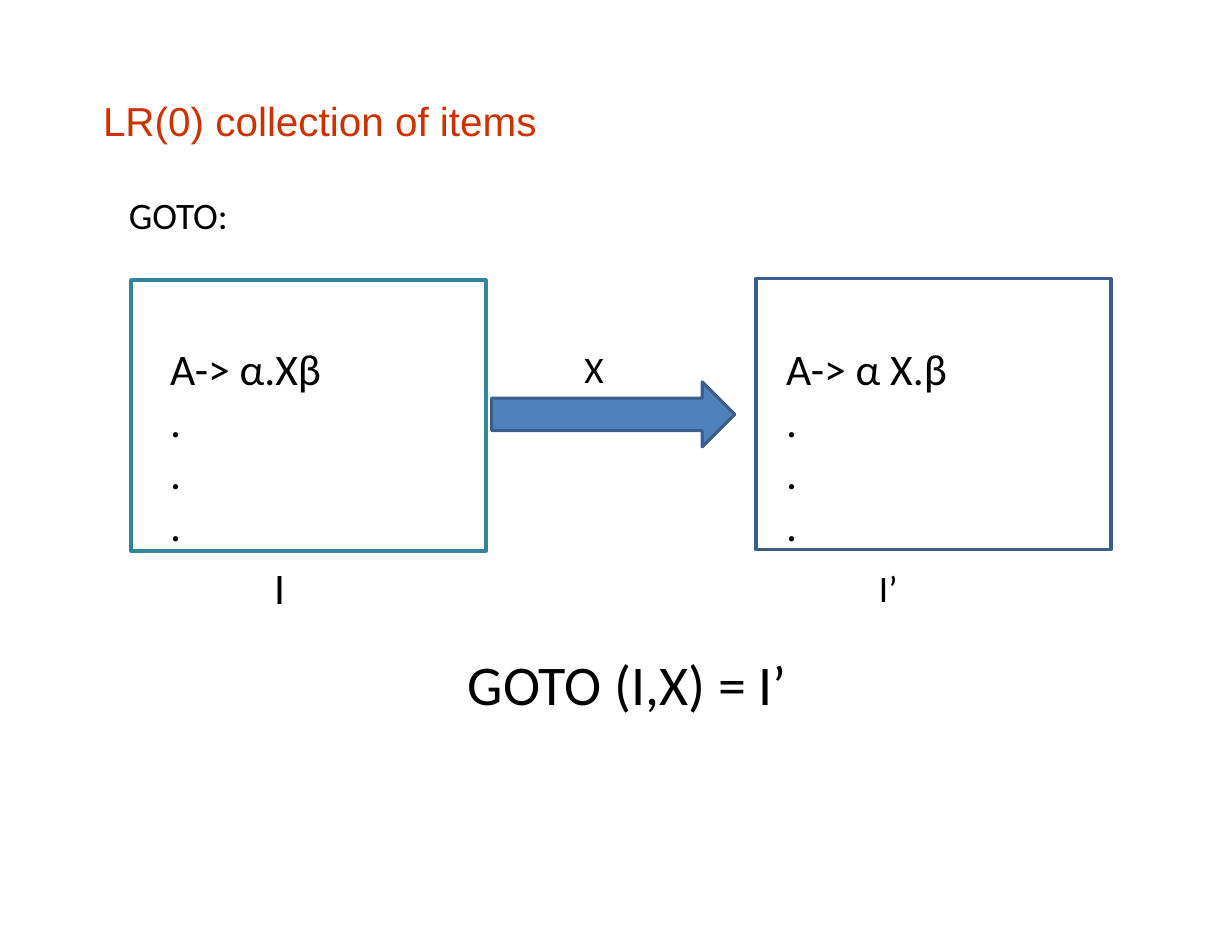
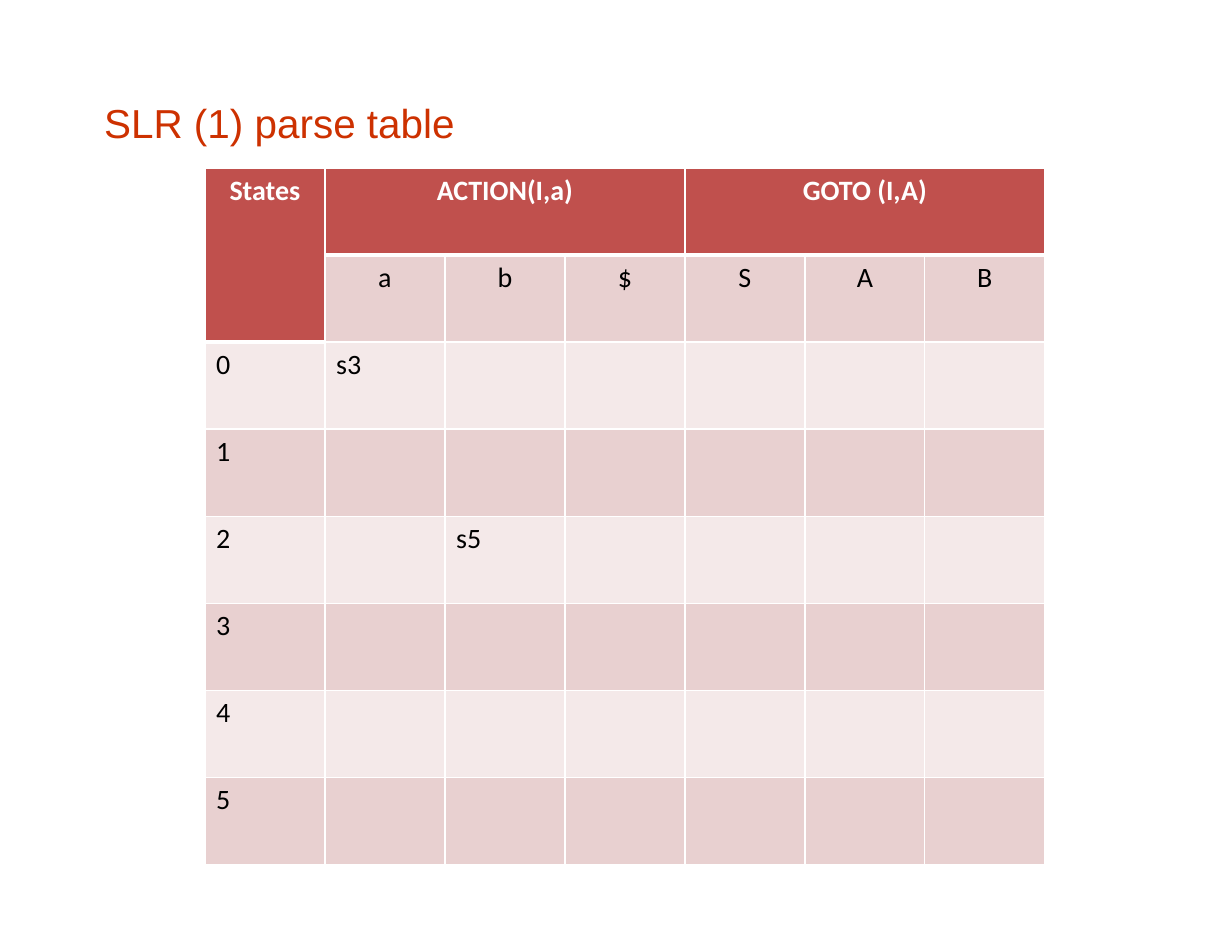
"""Build two slides on LR(0) item collections and the SLR(1) parse table."""
import lxml.etree
import pptx
import pptx.dml.color
import pptx.enum.shapes
import pptx.enum.text
import pptx.oxml.ns
import pptx.util

Inches = pptx.util.Inches
Pt = pptx.util.Pt
SHAPES = pptx.enum.shapes.MSO_SHAPE
CENTER = pptx.enum.text.PP_ALIGN.CENTER

RED, BLACK, WHITE = "CD3100", "000000", "FFFFFF"
BLUE, NAVY, TEAL = "4F81BD", "3A5F8C", "31859C"
HEADER, BANDS = "C0504D", ("F4E9E9", "E8D0D0")

ITEM_SETS = [
    {"item": "A-> α.Xβ", "box": (1.17, 2.5), "line": TEAL, "item_left": 1.42},
    {"item": "A-> α X.β", "box": (6.75, 2.49), "line": NAVY, "item_left": 6.92},
]
LABELS = [
    ("I’", (7.75, 5, 0.37, 0.5), 24),
    ("I", (2.35, 4.96, 0.3, 0.57), 28),
    ("GOTO (I,X) = I’", (4.08, 5.75, 3.08, 0.71), 36),
    ("X", (5.12, 3.04, 0.62, 0.5), 24),
]
GROUPS = [("ACTION(I,a)", ["a", "b", "$"]), ("GOTO (I,A)", ["S", "A", "B"])]
STATES = 6
ENTRIES = {(0, "a"): "s3", (2, "b"): "s5"}
COLUMN_WIDTH, ROW_HEIGHT = 7.5 / 7, 6.22 / 8


def color(value):
    return pptx.dml.color.RGBColor.from_string(value)


def write(frame, text, size=24, font="Calibri", ink=BLACK, bold=False, align=None):
    frame.text = text
    for paragraph in frame.paragraphs:
        paragraph.alignment = align
        paragraph.font.size = Pt(size)
        paragraph.font.name = font
        paragraph.font.bold = bold
        paragraph.font.color.rgb = color(ink)


def add_text(slide, text, place, inset=True, **style):
    frame = slide.shapes.add_textbox(*map(Inches, place)).text_frame
    frame.word_wrap = False
    if not inset:
        frame.margin_left = frame.margin_right = 0
        frame.margin_top = frame.margin_bottom = 0
    write(frame, text, **style)


def add_title(slide, text, left, top):
    add_text(slide, text, (left, top, 5.64, 0.44), inset=False,
             size=26, font="Arial", ink=RED)


def add_outline(slide, kind, place, line, fill=None):
    shape = slide.shapes.add_shape(kind, *map(Inches, place))
    shape.shadow.inherit = False
    if fill:
        shape.fill.solid()
        shape.fill.fore_color.rgb = color(fill)
    else:
        shape.fill.background()
    shape.line.color.rgb = color(line)
    shape.line.width = Pt(2)


def set_borders(cell, **widths):
    properties = cell._tc.get_or_add_tcPr()
    for side in "LRTB":
        border = lxml.etree.SubElement(
            properties, pptx.oxml.ns.qn("a:ln" + side), w=str(Pt(widths.get(side, 1))))
        fill = lxml.etree.SubElement(border, pptx.oxml.ns.qn("a:solidFill"))
        lxml.etree.SubElement(fill, pptx.oxml.ns.qn("a:srgbClr"), val=WHITE)


def build_goto(slide):
    add_title(slide, "LR(0) collection of items", 0.92, 0.86)
    add_text(slide, "GOTO:", (1.15, 1.72, 7.85, 0.4), inset=False)
    for state in ITEM_SETS:
        add_outline(slide, SHAPES.RECTANGLE, (*state["box"], 3.17, 2.42), state["line"])
        add_text(slide, "\n".join([state["item"], ".", ".", "."]),
                 (state["item_left"], 3, 1.66, 1.99), size=28)
    add_outline(slide, SHAPES.RIGHT_ARROW, (4.39, 3.41, 2.17, 0.58), NAVY, BLUE)
    for text, place, size in LABELS:
        add_text(slide, text, place, size=size)


def build_parse_table(slide):
    add_title(slide, "SLR (1) parse table", 0.93, 0.88)
    symbols = [symbol for _, members in GROUPS for symbol in members]
    headings = ["States"]
    for name, members in GROUPS:
        headings += [name] + [""] * (len(members) - 1)
    rows = [headings, [""] + symbols]
    for state in range(STATES):
        rows.append([str(state)] + [ENTRIES.get((state, s), "") for s in symbols])

    table = slide.shapes.add_table(
        len(rows), len(headings), Inches(1.83), Inches(1.5),
        Inches(COLUMN_WIDTH * len(headings)), Inches(ROW_HEIGHT * len(rows))).table
    for column in table.columns:
        column.width = Inches(COLUMN_WIDTH)
    for row in table.rows:
        row.height = Inches(ROW_HEIGHT)

    for r, texts in enumerate(rows):
        for c, text in enumerate(texts):
            cell = table.cell(r, c)
            last_header = 1 if c == 0 else 0
            is_header = r <= last_header
            set_borders(cell, T=3 if r == last_header + 1 else 1, B=3 if is_header else 1)
            cell.fill.solid()
            cell.fill.fore_color.rgb = color(HEADER if is_header else BANDS[r % 2])
            write(cell.text_frame, text, size=18, ink=WHITE if is_header else BLACK,
                  bold=is_header, align=CENTER if r < 2 else None)

    table.cell(0, 0).merge(table.cell(1, 0))
    first = 1
    for _, members in GROUPS:
        table.cell(0, first).merge(table.cell(0, first + len(members) - 1))
        first += len(members)


def main():
    deck = pptx.Presentation()
    deck.slide_width, deck.slide_height = Inches(11), Inches(8.5)
    for build in (build_goto, build_parse_table):
        build(deck.slides.add_slide(deck.slide_layouts[6]))
    deck.save("out.pptx")


if __name__ == "__main__":
    main()
